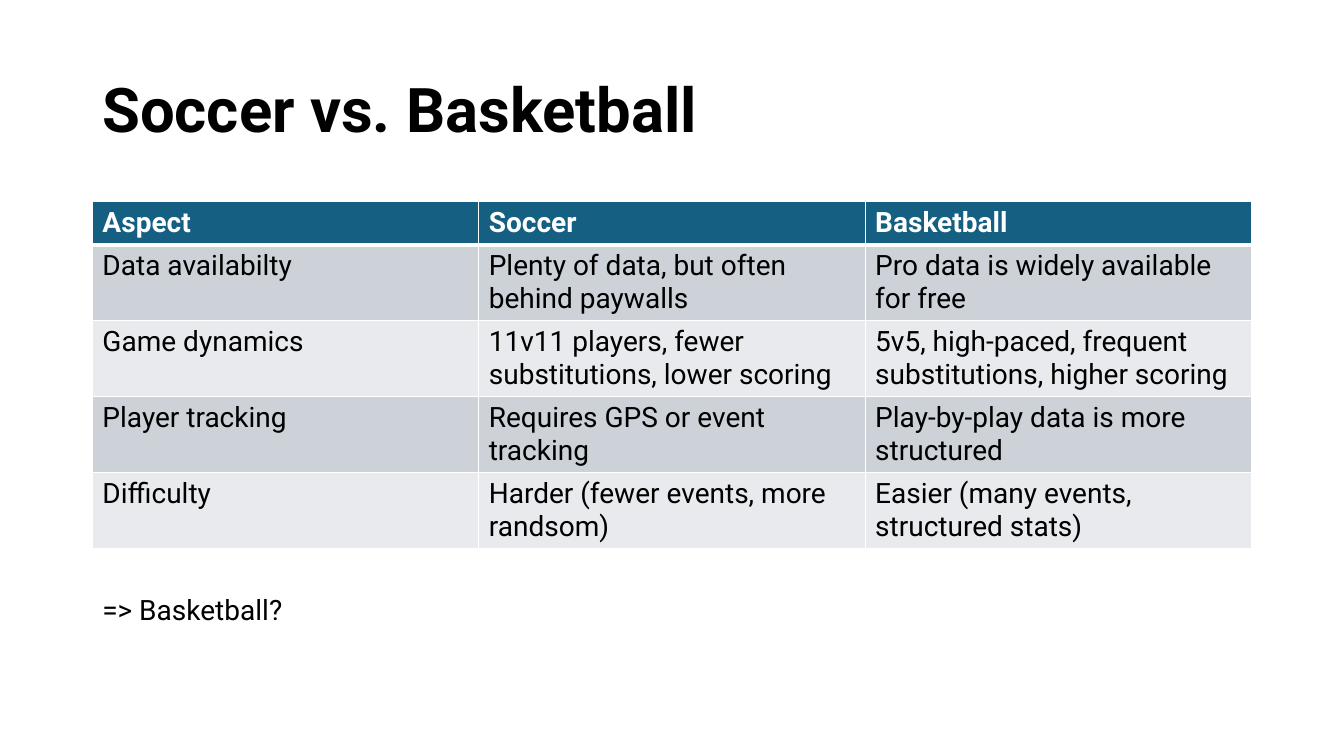
from dataclasses import dataclass

from lxml import etree
from pptx import Presentation
from pptx import util as u
from pptx.dml.color import RGBColor
from pptx.enum import text
from pptx.oxml import ns

PX = 9525
FONT = "Roboto"
BLACK = RGBColor(0x00, 0x00, 0x00)
WHITE = RGBColor(0xFF, 0xFF, 0xFF)
TEAL = RGBColor(0x15, 0x60, 0x82)
GREY = RGBColor(0xCC, 0xD2, 0xD8)
PALE = RGBColor(0xE8, 0xEA, 0xED)

LEFT, WIDTH = 88, 1104
TOP, HEAD, ROW = 192, 39, 72

ROWS = [
    ("Aspect", "Soccer", "Basketball"),
    ("Data availabilty", "Plenty of data, but often behind paywalls",
     "Pro data is widely available for free"),
    ("Game dynamics", "11v11 players, fewer substitutions, lower scoring",
     "5v5, high-paced, frequent substitutions, higher scoring"),
    ("Player tracking", "Requires GPS or event tracking",
     "Play-by-play data is more structured"),
    ("Difficulty", "Harder (fewer events, more randsom)",
     "Easier (many events, structured stats)"),
]


@dataclass(frozen=True)
class Style:
    size: int
    color: RGBColor = BLACK
    bold: bool = False


@dataclass(frozen=True)
class Label:
    words: str
    top: int
    width: int
    height: int
    style: Style
    anchor: text.MSO_ANCHOR
    spacing: float = 1.0


LABELS = [
    Label("Soccer vs. Basketball", 38, WIDTH, 139, Style(44, bold=True),
          text.MSO_ANCHOR.MIDDLE, 0.9),
    Label("=> Basketball?", 560, 719, 42, Style(20), text.MSO_ANCHOR.TOP),
]


def px(count: int) -> u.Emu:
    return u.Emu(count * PX)


def write(frame, words: str, style: Style) -> None:
    run = frame.paragraphs[0].add_run()
    run.text = words
    font = run.font
    font.name, font.size, font.bold = FONT, u.Pt(style.size), style.bold
    font.color.rgb = style.color


def add_label(slide, label: Label) -> None:
    box = slide.shapes.add_textbox(
        px(LEFT), px(label.top), px(label.width), px(label.height))
    frame = box.text_frame
    frame.word_wrap = True
    frame.vertical_anchor = label.anchor
    frame.paragraphs[0].line_spacing = label.spacing
    write(frame, label.words, label.style)


def add_edges(cell, top: int, bottom: int) -> None:
    props = cell._tc.get_or_add_tcPr()
    edges = (("lnL", 1), ("lnR", 1), ("lnT", top), ("lnB", bottom))
    for spot, (tag, size) in enumerate(edges):
        line = etree.Element(ns.qn(f"a:{tag}"), w=str(u.Pt(size)))
        fill = etree.SubElement(line, ns.qn("a:solidFill"))
        etree.SubElement(fill, ns.qn("a:srgbClr"), val=str(WHITE))
        props.insert(spot, line)


def add_grid(slide) -> None:
    cols = len(ROWS[0])
    high = HEAD + ROW * (len(ROWS) - 1)
    grid = slide.shapes.add_table(
        len(ROWS), cols, px(LEFT), px(TOP), px(WIDTH), px(high)).table
    for col in grid.columns:
        col.width = px(WIDTH // cols)
    for r, words in enumerate(ROWS):
        head = r == 0
        grid.rows[r].height = px(HEAD if head else ROW)
        style = Style(20, WHITE if head else BLACK, head)
        for c, word in enumerate(words):
            cell = grid.cell(r, c)
            cell.fill.solid()
            cell.fill.fore_color.rgb = TEAL if head else GREY if r % 2 else PALE
            add_edges(cell, 3 if r == 1 else 1, 3 if head else 1)
            write(cell.text_frame, word, style)


def main() -> None:
    deck = Presentation()
    deck.slide_width, deck.slide_height = px(1280), px(720)
    slide = deck.slides.add_slide(deck.slide_layouts[6])
    add_grid(slide)
    for label in LABELS:
        add_label(slide, label)
    deck.save("out.pptx")


if __name__ == "__main__":
    main()
